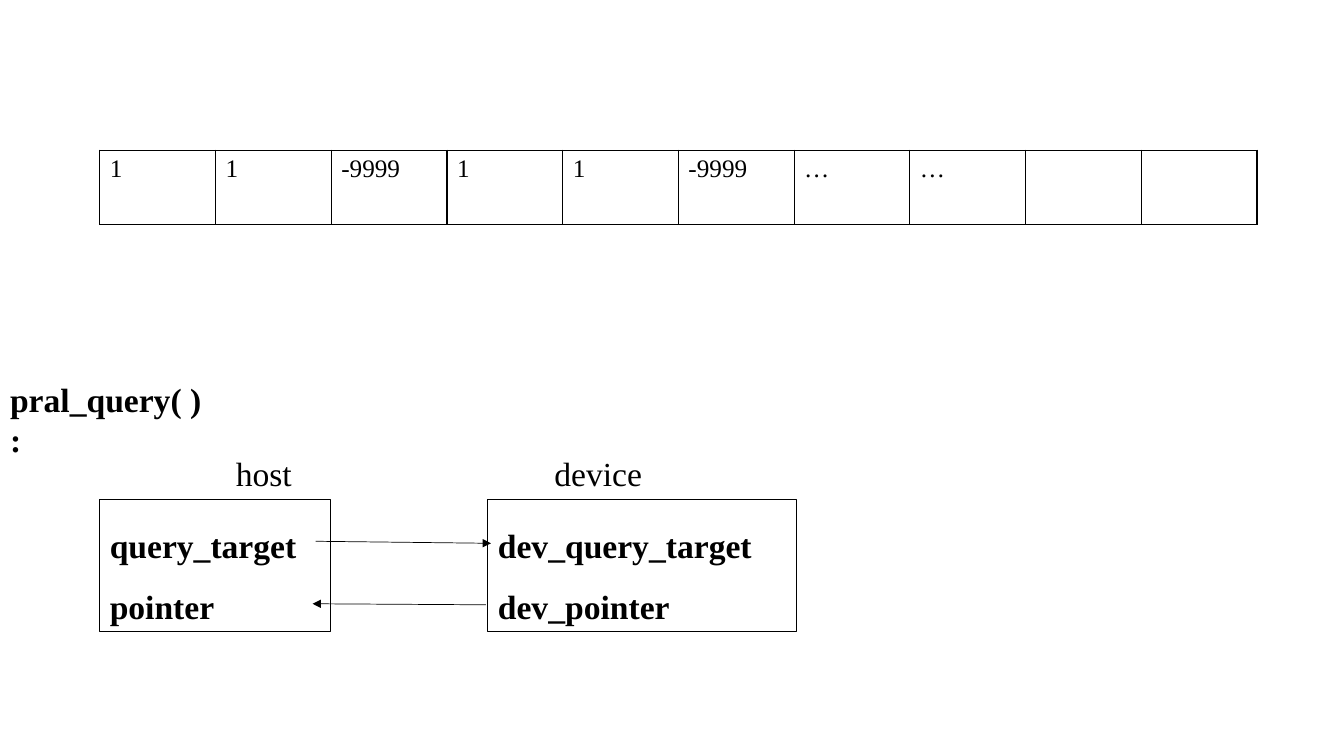
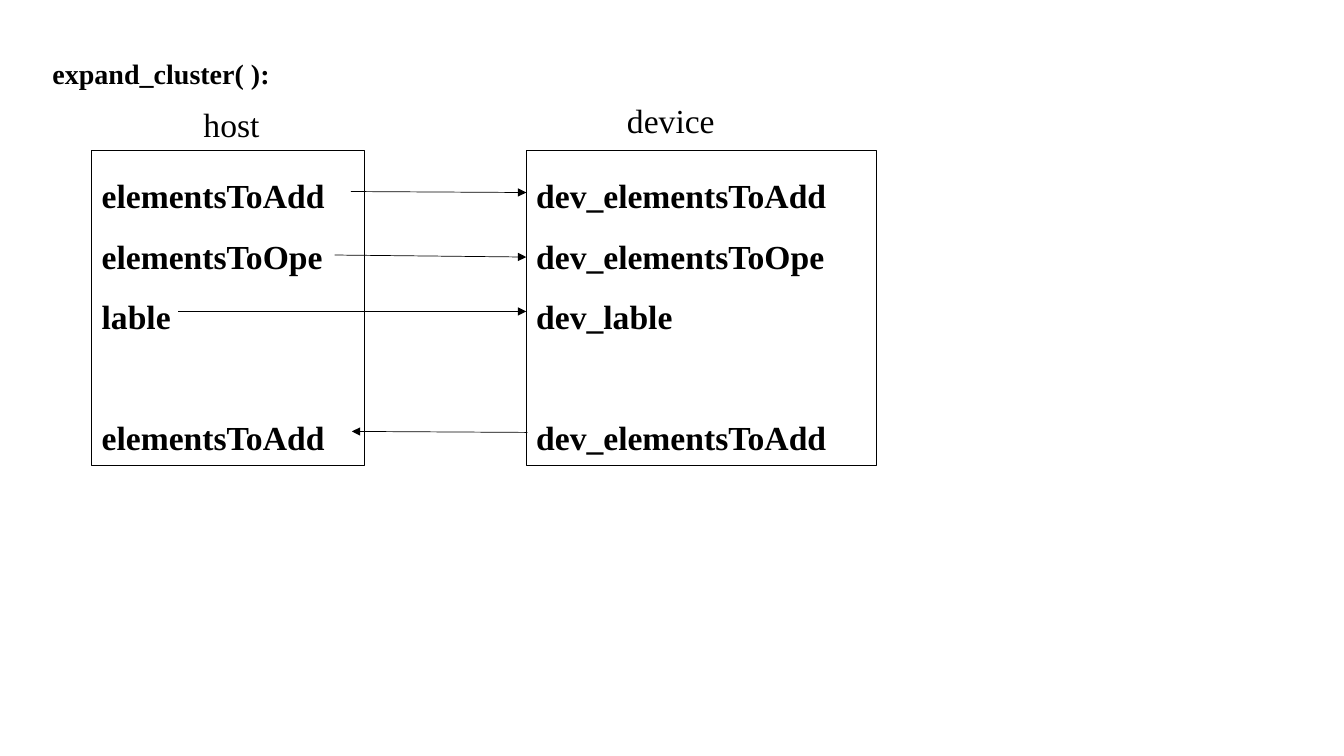
from lxml import etree
from pptx import Presentation
from pptx.dml.color import RGBColor
from pptx.enum.shapes import MSO_CONNECTOR as Connector, MSO_SHAPE as Shape
from pptx.enum.text import MSO_ANCHOR as Anchor, MSO_AUTO_SIZE as AutoSize, PP_ALIGN as Align
from pptx.oxml.ns import qn
from pptx.util import Emu, Pt

EMU_PER_PX = 9144
SLIDE_SIZE = (1333, 750)
TITLE_ONLY = 5
FONT = "Times New Roman"
INK = "000000"
BODY_SIZE = 24
LINE_SPACING = 1.5
BLOCK_GAP = 43
QUERY_RESULTS = ["1", "1", "-9999", "1", "1", "-9999", "…", "…", "", ""]


def px(length):
    return Emu(length * EMU_PER_PX)


def color(hex_value):
    return RGBColor.from_string(hex_value)


def style(paragraph, size=BODY_SIZE, bold=False):
    paragraph.alignment = Align.LEFT
    font = paragraph.font
    font.name, font.size, font.bold = FONT, Pt(size), bold
    font.color.rgb = color(INK)


def set_frame(frame):
    frame.word_wrap = True
    frame.vertical_anchor = Anchor.TOP
    frame.auto_size = AutoSize.SHAPE_TO_FIT_TEXT


def add_titled_slide(deck, text, box, size):
    slide = deck.slides.add_slide(deck.slide_layouts[TITLE_ONLY])
    title = slide.shapes.title
    title.left, title.top, title.width, title.height = map(px, box)
    title.text_frame.text = text
    set_frame(title.text_frame)
    style(title.text_frame.paragraphs[0], size, bold=True)
    return slide


def add_label(slide, text, left, top, width):
    label = slide.shapes.add_textbox(*map(px, (left, top, width, 50)))
    label.text_frame.text = text
    set_frame(label.text_frame)
    style(label.text_frame.paragraphs[0])


def add_memory(slide, box, blocks):
    memory = slide.shapes.add_shape(Shape.RECTANGLE, *map(px, box))
    memory.shadow.inherit = False
    memory.fill.background()
    memory.line.color.rgb = color(INK)
    memory.line.width = Pt(0.75)
    frame = memory.text_frame
    frame.text = "\n".join(name for block in blocks for name in block)
    set_frame(frame)
    for paragraph in frame.paragraphs:
        style(paragraph, bold=True)
        paragraph.line_spacing = LINE_SPACING
    start = 0
    for block in blocks[:-1]:
        start += len(block)
        frame.paragraphs[start].space_before = Pt(BLOCK_GAP)


def add_transfer(slide, x1, y1, x2, y2):
    arrow = slide.shapes.add_connector(Connector.STRAIGHT, *map(px, (x1, y1, x2, y2)))
    arrow.line.color.rgb = color(INK)
    arrow.line.width = Pt(0.5)
    etree.SubElement(arrow.line._get_or_add_ln(), qn("a:tailEnd"), type="triangle")
    etree.SubElement(arrow._element.spPr, qn("a:effectLst"))


def add_borders(cell):
    properties = cell._tc.get_or_add_tcPr()
    for index, side in enumerate(("a:lnL", "a:lnR", "a:lnT", "a:lnB")):
        border = etree.Element(qn(side), w=str(Pt(1)))
        fill = etree.SubElement(border, qn("a:solidFill"))
        etree.SubElement(fill, qn("a:srgbClr"), val=INK)
        properties.insert(index, border)


def add_array(slide, box, values):
    table = slide.shapes.add_table(1, len(values), *map(px, box)).table
    table.first_row = table.horz_banding = False
    for cell, value in zip(table.rows[0].cells, values):
        cell.text = value
        style(cell.text_frame.paragraphs[0], 18)
        cell.fill.background()
        add_borders(cell)


def add_exchange(slide, labels, host, device, blocks, transfers):
    device_blocks = [[f"dev_{name}" for name in block] for block in blocks]
    add_memory(slide, device, device_blocks)
    add_memory(slide, host, blocks)
    for text, position in zip(("host", "device"), labels):
        add_label(slide, text, *position)
    for transfer in transfers:
        add_transfer(slide, *transfer)


def main():
    deck = Presentation()
    deck.slide_width, deck.slide_height = map(px, SLIDE_SIZE)

    query = add_titled_slide(deck, "pral_query( ):", (0, 371, 213, 50), 24)
    add_exchange(
        query,
        labels=[(224, 444, 90), (540, 444, 139)],
        host=(99, 496, 229, 131),
        device=(484, 496, 306, 131),
        blocks=[["query_target", "pointer"]],
        transfers=[(313, 537, 487, 539), (482, 600, 310, 599)],
    )
    add_array(query, (99, 149, 1148, 74), QUERY_RESULTS)

    expand = add_titled_slide(deck, "expand_cluster( ):", (42, 51, 240, 44), 20)
    add_exchange(
        expand,
        labels=[(192, 98, 90), (612, 94, 139)],
        host=(91, 149, 271, 313),
        device=(522, 149, 347, 313),
        blocks=[["elementsToAdd", "elementsToOpe", "lable"], ["elementsToAdd"]],
        transfers=[
            (348, 190, 522, 191),
            (177, 309, 522, 309),
            (332, 253, 522, 255),
            (523, 429, 349, 428),
        ],
    )

    deck.save("out.pptx")


if __name__ == "__main__":
    main()
